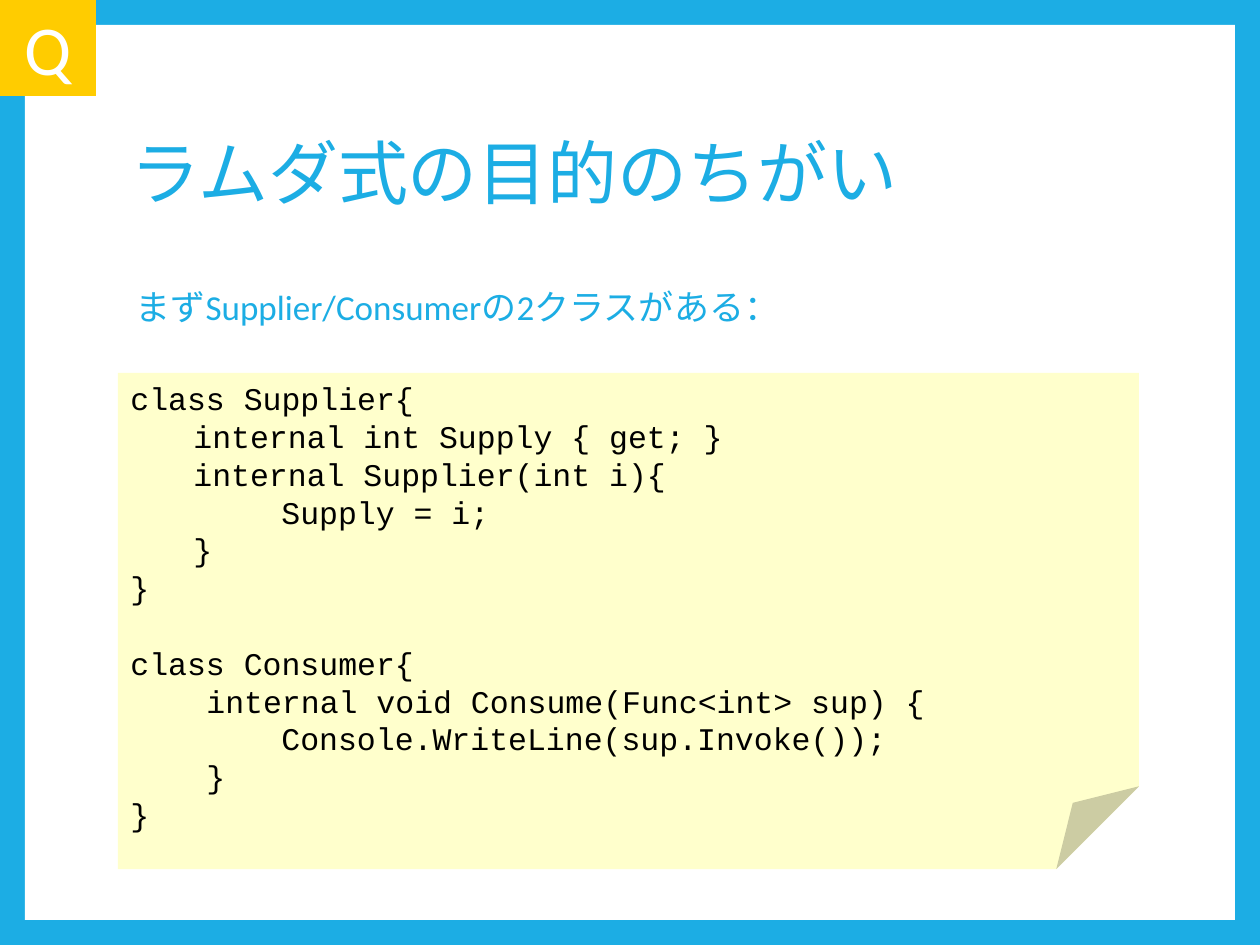
import pptx
import pptx.dml.color
import pptx.enum.shapes
import pptx.enum.text
import pptx.util

RGBColor = pptx.dml.color.RGBColor
Shape = pptx.enum.shapes.MSO_SHAPE
Anchor = pptx.enum.text.MSO_ANCHOR
Align = pptx.enum.text.PP_ALIGN

BLUE = RGBColor(0x1C, 0xAD, 0xE4)
WHITE = RGBColor(0xFF, 0xFF, 0xFF)
YELLOW = RGBColor(0xFF, 0xCC, 0x00)
CREAM = RGBColor(0xFF, 0xFF, 0xCC)
BLACK = RGBColor(0x00, 0x00, 0x00)

PX = 914400 / 126
WIDTH, HEIGHT, BORDER, BADGE = 1260, 945, 25, 96
LEFT, COLUMN = 118, 1021

# Each code line: indent in px, text
SUPPLIER = [
    (0, "class Supplier{"),
    (63, "internal int Supply { get; }"),
    (63, "internal Supplier(int i){"),
    (151, "Supply = i;"),
    (63, "}"),
    (0, "}"),
]
CONSUMER = [
    (0, "class Consumer{"),
    (76, "internal void Consume(Func<int> sup) {"),
    (151, "Console.WriteLine(sup.Invoke());"),
    (76, "}"),
    (0, "}"),
]


def emu(px):
    return pptx.util.Emu(round(px * PX))


class SlideBuilder:
    body_font = "Calibri"
    code_font = "Courier New"
    code_size = 18
    code_pitch = 21.6

    def __init__(self, slide):
        self.slide = slide

    def background(self, color):
        fill = self.slide.background.fill
        fill.solid()
        fill.fore_color.rgb = color

    def box(self, kind, left, top, width, height, color):
        shape = self.slide.shapes.add_shape(
            kind, emu(left), emu(top), emu(width), emu(height))
        shape.shadow.inherit = False
        shape.fill.solid()
        shape.fill.fore_color.rgb = color
        shape.line.fill.background()
        return shape

    def style_text(self, paragraph, text, size, color, font=body_font):
        paragraph.text = text
        paragraph.font.name = font
        paragraph.font.size = pptx.util.Pt(size)
        paragraph.font.color.rgb = color

    def text(self, left, top, width, height, text, size, anchor, indent=0):
        shape = self.slide.shapes.add_textbox(
            emu(left), emu(top), emu(width), emu(height))
        frame = shape.text_frame
        frame.word_wrap = True
        frame.vertical_anchor = anchor
        paragraph = frame.paragraphs[0]
        self.style_text(paragraph, text, size, BLUE)
        paragraph.line_spacing = 0.9
        self.indent(paragraph, indent)
        return paragraph

    def indent(self, paragraph, px):
        properties = paragraph._p.get_or_add_pPr()
        properties.set("marL", str(emu(px)))
        properties.set("indent", "0")

    def badge(self, text, side):
        shape = self.box(Shape.RECTANGLE, 0, 0, side, side, YELLOW)
        shape.text_frame.vertical_anchor = Anchor.MIDDLE
        paragraph = shape.text_frame.paragraphs[0]
        self.style_text(paragraph, text, 40, WHITE)
        paragraph.alignment = Align.CENTER

    def code_note(self, left, top, width, height, blocks):
        frame = self.box(Shape.FOLDED_CORNER, left, top, width, height, CREAM).text_frame
        frame.vertical_anchor = Anchor.TOP
        paragraph = None
        for block in blocks:
            for number, (indent, line) in enumerate(block):
                first = paragraph is None
                paragraph = frame.paragraphs[0] if first else frame.add_paragraph()
                self.style_text(paragraph, line, self.code_size, BLACK, self.code_font)
                paragraph.alignment = Align.LEFT
                paragraph.line_spacing = pptx.util.Pt(self.code_pitch)
                self.indent(paragraph, indent)
                if number == 0 and not first:
                    paragraph.space_before = pptx.util.Pt(self.code_pitch)


def main():
    presentation = pptx.Presentation()
    presentation.slide_width = emu(WIDTH)
    presentation.slide_height = emu(HEIGHT)
    builder = SlideBuilder(presentation.slides.add_slide(presentation.slide_layouts[6]))

    # Blue frame around a white page
    builder.background(BLUE)
    builder.box(Shape.RECTANGLE, BORDER, BORDER,
                WIDTH - 2 * BORDER, HEIGHT - 2 * BORDER, WHITE)

    # Title and lead sentence
    builder.text(LEFT, 84, COLUMN, 186, "ラムダ式の目的のちがい", 40, Anchor.MIDDLE)
    lead = builder.text(LEFT, 284, COLUMN, 557,
                        "まずSupplier/Consumerの2クラスがある：", 20, Anchor.TOP, indent=5)
    lead.space_before = pptx.util.Pt(10)

    # Question badge
    builder.badge("Q", BADGE)

    # Code on a folded note
    builder.code_note(LEFT, 373, COLUMN, 496, [SUPPLIER, CONSUMER])

    presentation.save("out.pptx")


if __name__ == "__main__":
    main()
